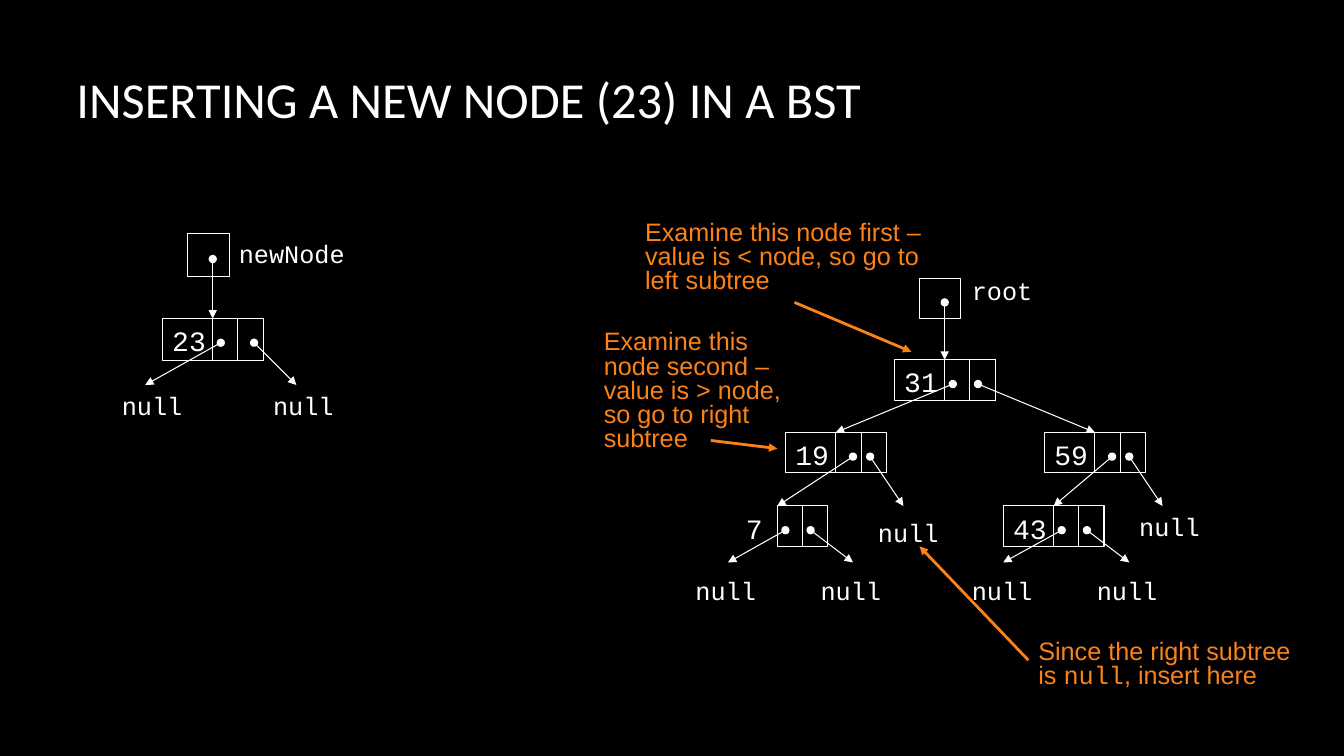
from lxml import etree
from pptx import Presentation
from pptx.dml.color import RGBColor
from pptx.enum.shapes import MSO_CONNECTOR, MSO_SHAPE
from pptx.enum.text import MSO_ANCHOR, MSO_AUTO_SIZE, PP_ALIGN
from pptx.oxml.ns import qn
from pptx.util import Pt

BLACK = RGBColor(0x00, 0x00, 0x00)
WHITE = RGBColor(0xFF, 0xFF, 0xFF)
ORANGE = RGBColor(0xFA, 0x82, 0x18)
RECTANGLE = MSO_SHAPE.RECTANGLE
STRAIGHT = MSO_CONNECTOR.STRAIGHT
TOP, MIDDLE = MSO_ANCHOR.TOP, MSO_ANCHOR.MIDDLE
LEFT = PP_ALIGN.LEFT
GROW, FIXED = MSO_AUTO_SIZE.SHAPE_TO_FIT_TEXT, MSO_AUTO_SIZE.NONE

PX = 9144
SLIDE_WIDTH, SLIDE_HEIGHT = 1333, 750
NODE_WIDTH, CELL_WIDTH = 100, 25
CELL_OFFSETS = (50, 75)
DOT_DROP = 24

TITLE = {"name": "Calibri", "size": Pt(36)}
CODE = {"name": "Courier New", "size": Pt(18)}
VALUE = {"name": "Courier New", "size": Pt(20)}
NOTE = {"name": "Arial", "size": Pt(18)}

TITLE_TEXT = "INSERTING A NEW NODE (23) IN A BST"
TITLE_BOX = (66, 18, 1108, 159)

REFERENCES = [
    {"name": "root", "box": (912, 276, 41, 40), "label": (954, 268, 80, 39), "dot": (937, 300), "tip": (937, 357)},
    {"name": "newNode", "box": (186, 232, 42, 42), "label": (227, 232, 125, 40), "dot": (211, 257), "tip": (211, 316)},
]

NODES = [
    {"value": "31", "at": (887, 357), "height": 40, "dots": (58, 83), "tips": [(829, 429), (1086, 429)]},
    {"value": "59", "at": (1036, 429), "height": 40, "dots": (67, 84), "tips": [(1045, 502), (1153, 502)]},
    {"value": "19", "at": (779, 429), "height": 40, "dots": (67, 84), "tips": [(771, 502), (896, 502)]},
    {"value": "7", "at": (721, 502), "height": 40, "dots": (58, 83), "tips": [(722, 558), (846, 558)]},
    {"value": "43", "at": (995, 502), "height": 40, "dots": (58, 83), "tips": [(995, 558), (1120, 558)]},
    {"value": "23", "at": (161, 316), "height": 42, "dots": (58, 91), "tips": [(144, 382), (294, 382)]},
]
OPEN_NODES = {"7"}

NULLS = [(861, 508), (1120, 502), (680, 566), (804, 566), (954, 566), (1078, 566), (111, 382), (261, 382)]

NOTES = [
    {
        "runs": [("Examine this node first – value is < node, so go to left subtree", NOTE)],
        "box": (630, 215, 307, 80),
        "arrow": [(788, 300), (904, 349)],
    },
    {
        "runs": [("Examine this node second – value is > node, so go to right subtree", NOTE)],
        "box": (589, 324, 224, 127),
        "arrow": [(705, 437), (771, 445)],
    },
    {
        "runs": [("Since the right subtree is ", NOTE), ("null", CODE), (", insert here", NOTE)],
        "box": (1020, 631, 292, 58),
        "arrow": [(1020, 655), (912, 542)],
    },
]


def emu(lengths):
    return [length * PX for length in lengths]


def add_text(slide, box, runs, color=WHITE, wrap=False, anchor=TOP, spacing=1.0):
    frame = slide.shapes.add_textbox(*emu(box)).text_frame
    frame.word_wrap = wrap
    frame.auto_size = FIXED if wrap else GROW
    frame.vertical_anchor = anchor
    paragraph = frame.paragraphs[0]
    paragraph.alignment = LEFT
    paragraph.line_spacing = spacing
    for text, font_format in runs:
        run = paragraph.add_run()
        run.text = text
        for attribute, setting in font_format.items():
            setattr(run.font, attribute, setting)
        run.font.color.rgb = color


def add_outline(slide, box):
    shape = slide.shapes.add_shape(RECTANGLE, *emu(box))
    shape.shadow.inherit = False
    shape.fill.background()
    shape.line.color.rgb = WHITE
    shape.line.width = Pt(0.75)


def add_arrow(slide, start, end, color=WHITE, width=0.75, dotted_start=True):
    connector = slide.shapes.add_connector(STRAIGHT, *emu(start + end))
    connector.line.color.rgb = color
    connector.line.width = Pt(width)
    properties = connector._element.spPr
    line = properties.find(qn("a:ln"))
    if dotted_start:
        etree.SubElement(line, qn("a:headEnd")).set("type", "oval")
    etree.SubElement(line, qn("a:tailEnd")).set("type", "triangle")
    etree.SubElement(properties, qn("a:effectLst"))


def add_node(slide, node):
    left, top = node["at"]
    height = node["height"]
    value = node["value"]
    value_left, value_width = left, 54
    if value in OPEN_NODES:
        value_left, value_width = left + 9, 37
    else:
        add_outline(slide, (left, top, NODE_WIDTH, height))
    for cell_offset in CELL_OFFSETS:
        add_outline(slide, (left + cell_offset, top, CELL_WIDTH, height))
    add_text(slide, (value_left, top, value_width, 42), [(value, VALUE)])
    for dot_offset, tip in zip(node["dots"], node["tips"]):
        add_arrow(slide, (left + dot_offset, top + DOT_DROP), tip)


def main():
    presentation = Presentation()
    presentation.slide_width, presentation.slide_height = emu((SLIDE_WIDTH, SLIDE_HEIGHT))
    slide = presentation.slides.add_slide(presentation.slide_layouts[6])
    slide.background.fill.solid()
    slide.background.fill.fore_color.rgb = BLACK

    add_text(slide, TITLE_BOX, [(TITLE_TEXT, TITLE)], wrap=True, anchor=MIDDLE)
    for reference in REFERENCES:
        add_outline(slide, reference["box"])
        add_text(slide, reference["label"], [(reference["name"], CODE)])
        add_arrow(slide, reference["dot"], reference["tip"])
    for node in NODES:
        add_node(slide, node)
    for left, top in NULLS:
        add_text(slide, (left, top, 80, 39), [("null", CODE)])
    for note in NOTES:
        add_text(slide, note["box"], note["runs"], ORANGE, wrap=True, spacing=0.8)
        add_arrow(slide, *note["arrow"], color=ORANGE, width=2, dotted_start=False)

    presentation.save("out.pptx")


if __name__ == "__main__":
    main()
